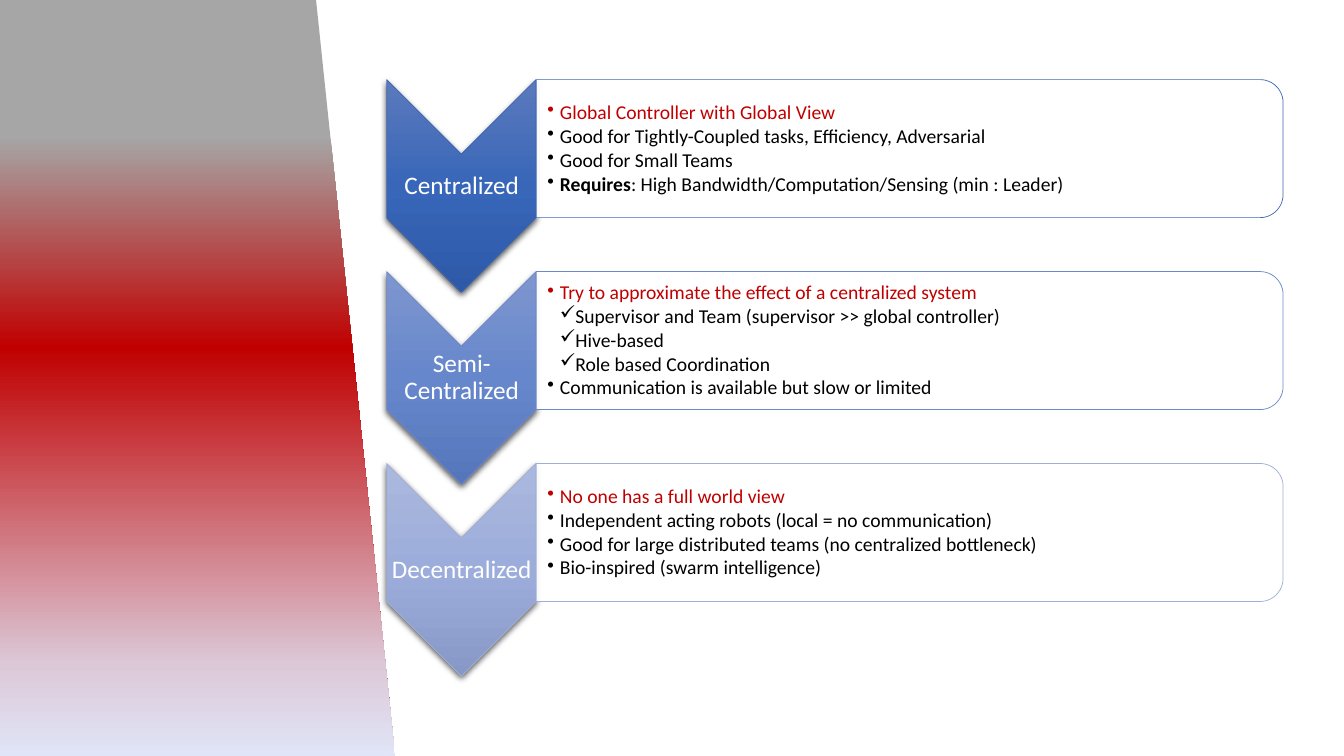
from lxml import etree
from pptx import Presentation
from pptx.dml.color import RGBColor
from pptx.enum import shapes, text
from pptx.oxml import ns
from pptx.util import Pt

ROW_TOP = 56.9
ROW_PITCH = 137.1
RED = "C00000"
BLACK = "000000"
WHITE = "FFFFFF"

ROWS = [
    ("Centralized", "3E67B2", ["5C7ABD", "3866B8", "2D59A8"], [
        (1, "", "Global Controller with Global View"),
        (1, "", "Good for Tightly-Coupled tasks, Efficiency, Adversarial"),
        (1, "", "Good for Small Teams"),
        (1, "Requires", ": High Bandwidth/Computation/Sensing (min : Leader)"),
    ]),
    ("Semi-Centralized", "6C88C8", ["7E96CE", "6787CC", "5676BB"], [
        (1, "", "Try to approximate the effect of a centralized system"),
        (2, "", "Supervisor and Team (supervisor >> global controller)"),
        (2, "", "Hive-based"),
        (2, "", "Role based Coordination"),
        (1, "", "Communication is available but slow or limited"),
    ]),
    ("Decentralized", "9FAED8", ["ABB8DD", "9CADDB", "8798C6"], [
        (1, "", "No one has a full world view"),
        (1, "", "Independent acting robots (local = no communication)"),
        (1, "", "Good for large distributed teams (no centralized bottleneck)"),
        (1, "", "Bio-inspired (swarm intelligence)"),
    ]),
]


def color(value):
    return RGBColor.from_string(value)


def child(parent, tag, **attributes):
    element = etree.SubElement(parent, ns.qn(tag))
    for name, value in attributes.items():
        element.set(name, str(value))
    return element


def add_run(paragraph, content, size=14, fill=BLACK, bold=False, font="Calibri"):
    run = paragraph.add_run()
    run.text = content
    run.font.name = font
    run.font.size = Pt(size)
    run.font.bold = bold
    run.font.color.rgb = color(fill)


class SlideBuilder:
    bullets = {1: "•", 2: "✓"}
    indent = 9
    line_spacing = 0.9

    def __init__(self, slide):
        self.slide = slide

    def turned_shape(self, kind, left, top, width, height, line=None):
        shape = self.slide.shapes.add_shape(
            kind, Pt(left + (width - height) / 2), Pt(top + (height - width) / 2),
            Pt(height), Pt(width))
        shape.rotation = 90
        shape.shadow.inherit = False
        if line:
            shape.line.color.rgb = color(line)
            shape.line.width = Pt(0.5)
        else:
            shape.line.fill.background()
        return shape

    def gradient(self, shape, stops):
        shape.fill.gradient()
        shape.fill.gradient_angle = 0
        stop_list = shape._element.spPr.find(".//" + ns.qn("a:gsLst"))
        for stop in list(stop_list):
            stop_list.remove(stop)
        for position, value in stops:
            stop = child(stop_list, "a:gs", pos=position * 1000)
            child(stop, "a:srgbClr", val=value)

    def panel(self, width, height, stops):
        kind = shapes.MSO_SHAPE.FLOWCHART_MANUAL_INPUT
        self.gradient(self.turned_shape(kind, 0, 0, width, height), stops)

    def chevron(self, top, line, tones):
        shape = self.turned_shape(
            shapes.MSO_SHAPE.CHEVRON, 276.2, top, 106.6, 151.9, line)
        self.gradient(shape, zip((0, 50, 100), tones))
        effects = shape._element.spPr.find(ns.qn("a:effectLst"))
        shadow = child(effects, "a:outerShdw", blurRad=Pt(4.5), dist=Pt(1.5),
                       dir=5400000, algn="ctr", rotWithShape=0)
        child(child(shadow, "a:srgbClr", val=BLACK), "a:alpha", val=63000)

    def card(self, top, line):
        shape = self.turned_shape(
            shapes.MSO_SHAPE.ROUND_2_SAME_RECTANGLE, 383, top, 533.5, 98.6, line)
        shape.fill.solid()
        shape.fill.fore_color.rgb = color(WHITE)
        fill = shape._element.spPr.find(ns.qn("a:solidFill"))
        child(fill[0], "a:alpha", val=90000)

    def text_frame(self, left, top, width, height, inset=0.7):
        box = self.slide.shapes.add_textbox(Pt(left), Pt(top), Pt(width), Pt(height))
        frame = box.text_frame
        frame.word_wrap = True
        frame.vertical_anchor = text.MSO_ANCHOR.MIDDLE
        frame.margin_left = Pt(inset)
        frame.margin_top = frame.margin_right = frame.margin_bottom = Pt(0.7)
        return frame

    def title(self, top, content):
        paragraph = self.text_frame(276.5, top + 53.3, 106.6, 45.4).paragraphs[0]
        paragraph.alignment = text.PP_ALIGN.CENTER
        paragraph.line_spacing = self.line_spacing
        paragraph.space_after = Pt(5.5)
        add_run(paragraph, content, size=18, fill=WHITE)

    def points(self, top, items):
        frame = self.text_frame(383, top + 5, 528.5, 89.3, inset=8)
        for index, (level, lead, content) in enumerate(items):
            paragraph = frame.add_paragraph() if index else frame.paragraphs[0]
            properties = paragraph._p.get_or_add_pPr()
            properties.set("marL", str(Pt(self.indent * level)))
            properties.set("indent", str(Pt(-self.indent)))
            child(properties, "a:buChar", char=self.bullets[level])
            paragraph.level = level
            paragraph.line_spacing = self.line_spacing
            paragraph.space_after = Pt(1.8)
            if lead:
                add_run(paragraph, lead, bold=True)
            add_run(paragraph, content, fill=BLACK if index else RED)


def main():
    presentation = Presentation()
    presentation.slide_width = Pt(960)
    presentation.slide_height = Pt(540)
    builder = SlideBuilder(presentation.slides.add_slide(presentation.slide_layouts[6]))
    builder.panel(282.2, 540, [(18, "A6A6A6"), (46, RED), (88, "DCC9D8"), (100, "E0E5F7")])
    for index, (name, line, tones, items) in enumerate(ROWS):
        top = ROW_TOP + index * ROW_PITCH
        builder.chevron(top, line, tones)
        builder.title(top, name)
        builder.card(top, line)
        builder.points(top, items)
    presentation.save("out.pptx")


if __name__ == "__main__":
    main()
